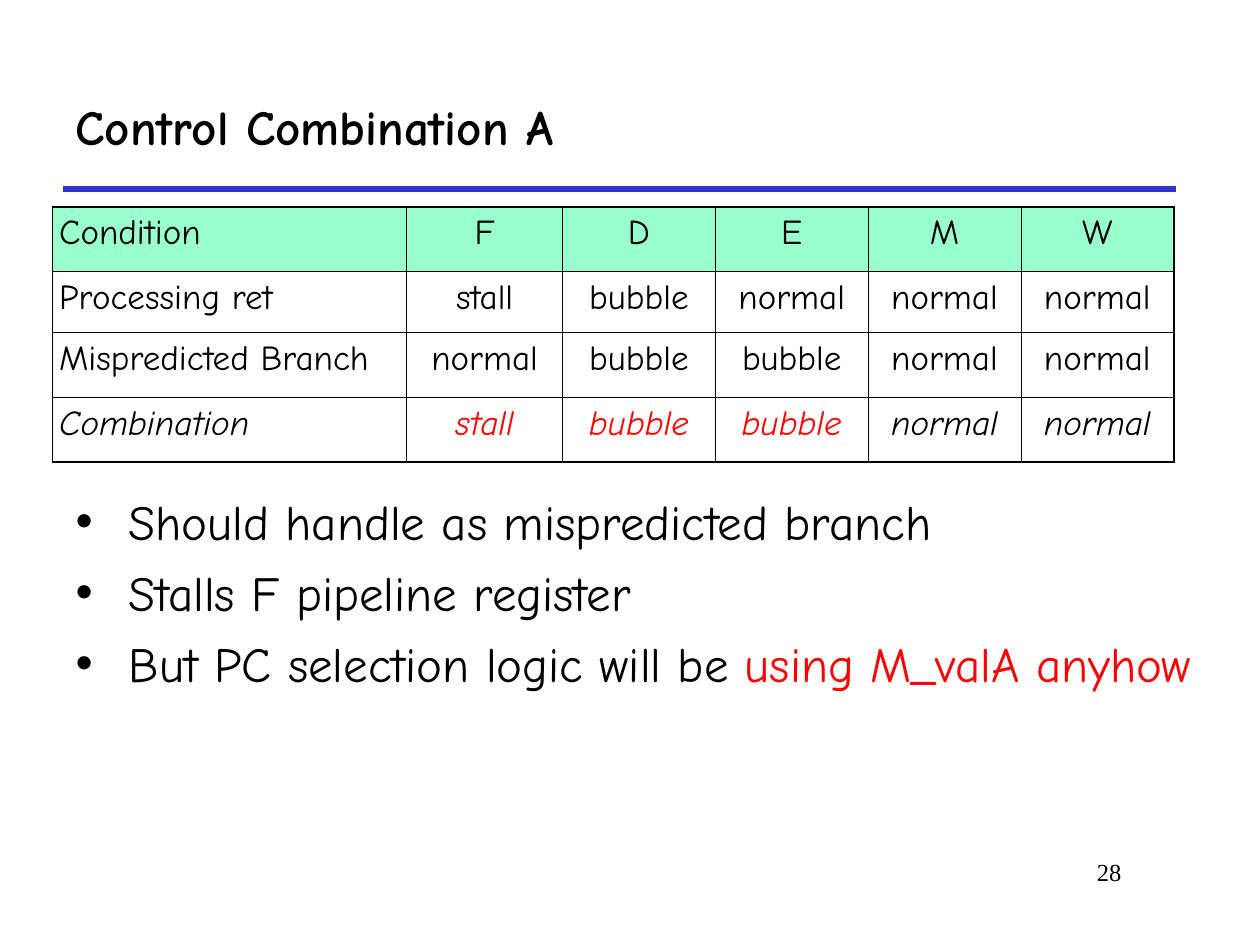
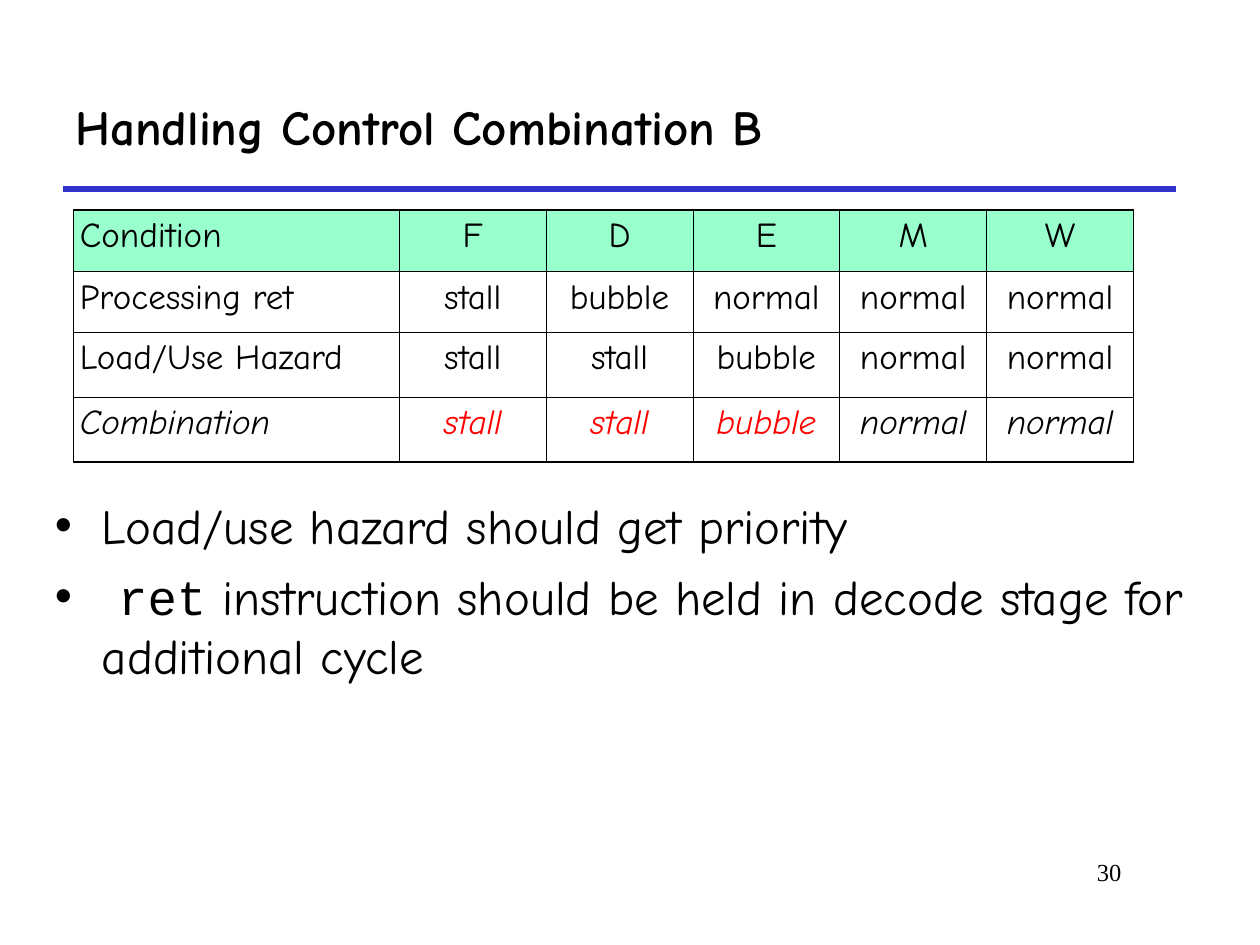
from lxml import etree
from pptx import Presentation
from pptx.dml.color import RGBColor
from pptx.enum.shapes import MSO_CONNECTOR
from pptx.enum.text import MSO_ANCHOR, MSO_AUTO_SIZE, PP_ALIGN
from pptx.oxml.ns import qn
from pptx.util import Cm, Pt

LEFT, CENTER, RIGHT = PP_ALIGN.LEFT, PP_ALIGN.CENTER, PP_ALIGN.RIGHT
TOP, MIDDLE = MSO_ANCHOR.TOP, MSO_ANCHOR.MIDDLE
STRAIGHT = MSO_CONNECTOR.STRAIGHT
NO_AUTOFIT = MSO_AUTO_SIZE.NONE

BLACK, RED, BLUE, MINT = "000000", "FF0000", "3333CC", "99FFCC"
MAIN_FONT, CODE_FONT, NUMBER_FONT = "Comic Neue", "Courier New", "Times New Roman"
STAGES = ["Condition", "F", "D", "E", "M", "W"]
RETURN_ROW = ["Processing ret", "stall", "bubble", "normal", "normal", "normal"]


def rgb(value):
    return RGBColor.from_string(value)


class PipelineDeck:
    def __init__(self):
        self.deck = Presentation()
        self.deck.slide_width, self.deck.slide_height = Cm(25.4), Cm(19.05)
        self.page = None

    def add_page(self, title, number):
        self.page = self.deck.slides.add_slide(self.deck.slide_layouts[1])
        self.rule()
        self.page_number(number)
        self.title(title)

    def span(self, para, text, size, font=MAIN_FONT, color=BLACK, bold=False, italic=False):
        span = para.add_run()
        span.text = text
        span.font.name, span.font.size = font, Pt(size)
        span.font.bold, span.font.italic = bold, italic
        span.font.color.rgb = rgb(color)

    def place(self, box, left, top, width, height):
        box.left, box.top, box.width, box.height = Cm(left), Cm(top), Cm(width), Cm(height)
        frame = box.text_frame
        frame.auto_size = NO_AUTOFIT
        frame.word_wrap = True
        return frame

    def rule(self):
        line = self.page.shapes.add_connector(STRAIGHT, Cm(1.27), Cm(3.81), Cm(23.7), Cm(3.81))
        line.line.color.rgb = rgb(BLUE)
        line.line.width = Pt(3)
        etree.SubElement(line._element.spPr, qn("a:effectLst"))

    def page_number(self, number):
        box = self.page.shapes.add_textbox(0, 0, 0, 0)
        para = self.place(box, 19.26, 17.15, 3.6, 1.27).paragraphs[0]
        para.alignment = RIGHT
        self.span(para, str(number), 14, NUMBER_FONT)

    def title(self, text):
        frame = self.place(self.page.shapes.title, 1.27, 1.27, 22.43, 2.54)
        frame.vertical_anchor = MIDDLE
        para = frame.paragraphs[0]
        para.alignment = LEFT
        self.span(para, text, 28, bold=True)

    def bullets(self, items, left, top, height, indent):
        frame = self.place(self.page.placeholders[1], left, top, 23.37, height)
        frame.vertical_anchor = TOP
        for index, spans in enumerate(items):
            para = frame.add_paragraph() if index else frame.paragraphs[0]
            self.bullet_mark(para, indent)
            para.space_before = Pt(7 if index else 0)
            for text, style in spans:
                self.span(para, text, 28, **style)

    def bullet_mark(self, para, indent):
        props = para._p.get_or_add_pPr()
        props.set("marL", str(Cm(indent)))
        props.set("indent", str(-Cm(indent)))
        color = etree.SubElement(props, qn("a:buClr"))
        etree.SubElement(color, qn("a:srgbClr"), val=BLACK)
        etree.SubElement(props, qn("a:buChar"), char="•")

    def table(self, rows, left, top, widths, heights):
        frame = self.page.shapes.add_table(
            len(rows), len(widths), Cm(left), Cm(top), Cm(sum(widths)), Cm(sum(heights)))
        table = frame.table
        table.first_row = table.horz_banding = False
        for column, width in zip(table.columns, widths):
            column.width = Cm(width)
        for row, height in zip(table.rows, heights):
            row.height = Cm(height)
        last_row, last_column = len(rows) - 1, len(widths) - 1
        for r, texts in enumerate(rows):
            for c, text in enumerate(texts):
                cell = table.cell(r, c)
                self.cell_text(cell, text, c > 0, r == last_row)
                if r == 0:
                    cell.fill.solid()
                    cell.fill.fore_color.rgb = rgb(MINT)
                else:
                    cell.fill.background()
                self.borders(cell, {"L": c == 0, "R": c == last_column,
                                    "T": r == 0, "B": r == last_row})

    def cell_text(self, cell, text, is_stage, is_result):
        cell.margin_left = cell.margin_right = Cm(0.13)
        cell.margin_top = cell.margin_bottom = Cm(0.13)
        cell.vertical_anchor = TOP
        para = cell.text_frame.paragraphs[0]
        para.alignment = CENTER if is_stage else LEFT
        stressed = is_result and is_stage and text != "normal"
        self.span(para, text, 20, color=RED if stressed else BLACK, italic=is_result)

    def borders(self, cell, outer_sides):
        props = cell._tc.get_or_add_tcPr()
        for position, (side, is_outer) in enumerate(outer_sides.items()):
            line = etree.Element(qn("a:ln" + side), w=str(Pt(1.08 if is_outer else 0.45)))
            fill = etree.SubElement(line, qn("a:solidFill"))
            etree.SubElement(fill, qn("a:srgbClr"), val=BLACK)
            props.insert(position, line)

    def save(self):
        self.deck.save("out.pptx")


def main():
    deck = PipelineDeck()

    deck.add_page("Control Combination A", 28)
    deck.bullets([
        [("Should handle as mispredicted branch", {})],
        [("Stalls F pipeline register", {})],
        [("But PC selection logic will be ", {}), ("using M_valA anyhow", {"color": RED})],
    ], left=1.27, top=9.78, height=7.75, indent=1.07)
    deck.table([
        STAGES,
        RETURN_ROW,
        ["Mispredicted Branch", "normal", "bubble", "bubble", "normal", "normal"],
        ["Combination", "stall", "bubble", "bubble", "normal", "normal"],
    ], left=1.06, top=4.17, widths=[7.14, 3.14] + [3.08] * 4, heights=[1.31, 1.22, 1.31, 1.31])

    deck.add_page("Handling Control Combination B", 30)
    deck.bullets([
        [("Load/use hazard should get priority", {})],
        [(" ", {}), ("ret", {"font": CODE_FONT}),
         (" instruction should be held in decode stage for additional cycle", {})],
    ], left=0.85, top=9.86, height=5.82, indent=0.95)
    deck.table([
        STAGES,
        RETURN_ROW,
        ["Load/Use Hazard", "stall", "stall", "bubble", "normal", "normal"],
        ["Combination", "stall", "stall", "bubble", "normal", "normal"],
    ], left=1.48, top=4.23, widths=[6.57] + [2.96] * 5, heights=[1.24, 1.22, 1.31, 1.31])

    deck.save()


if __name__ == "__main__":
    main()
